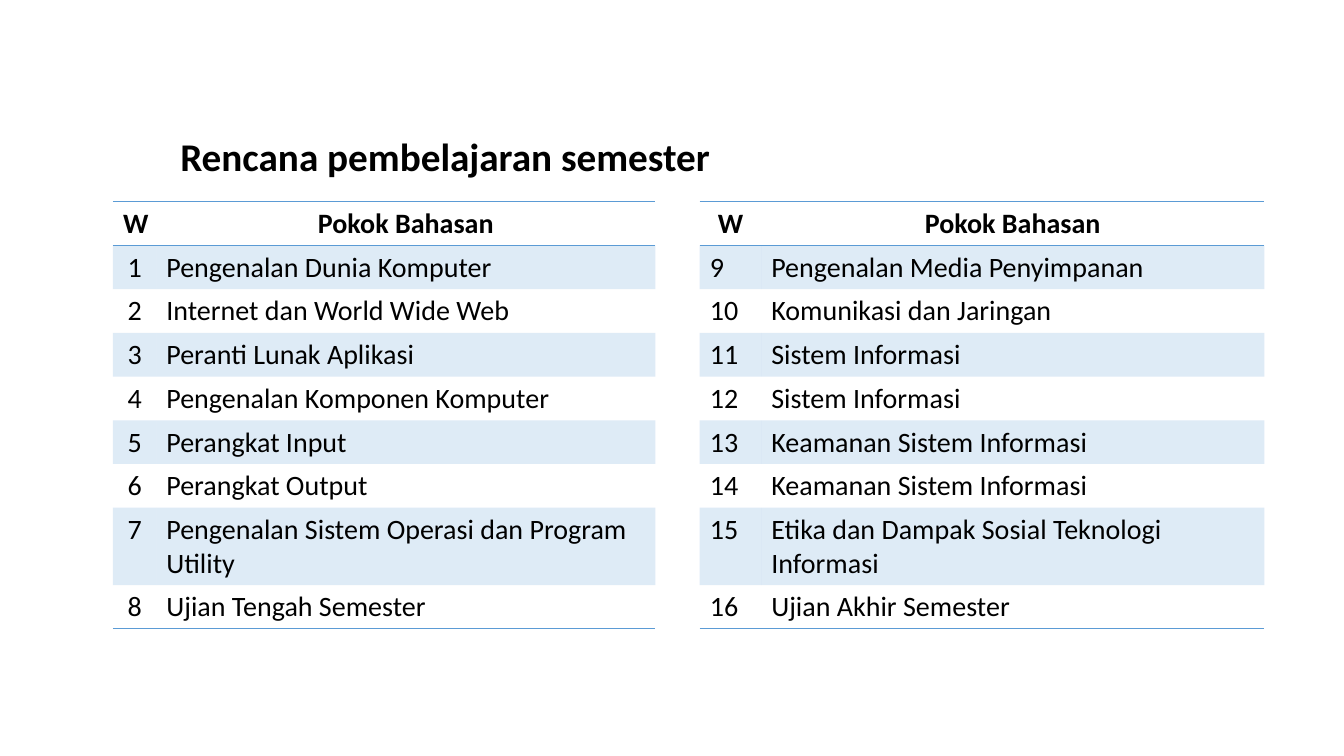
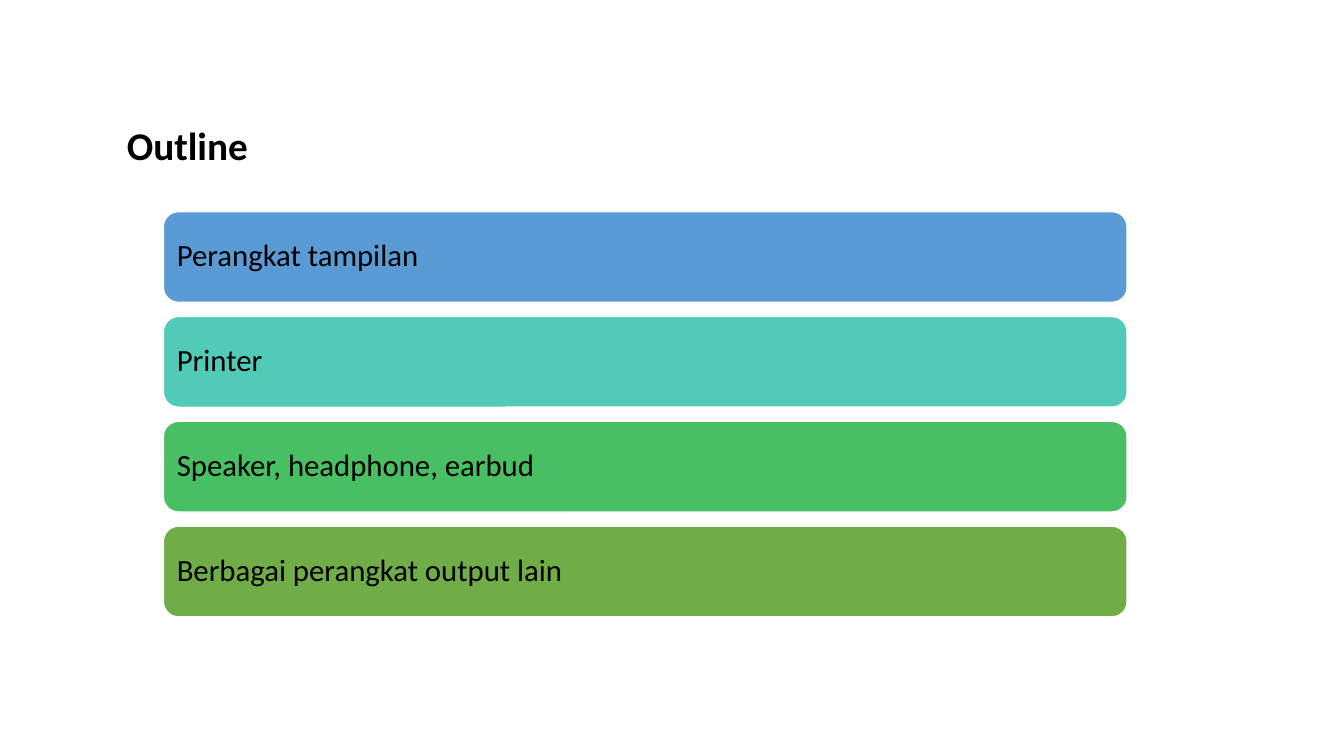
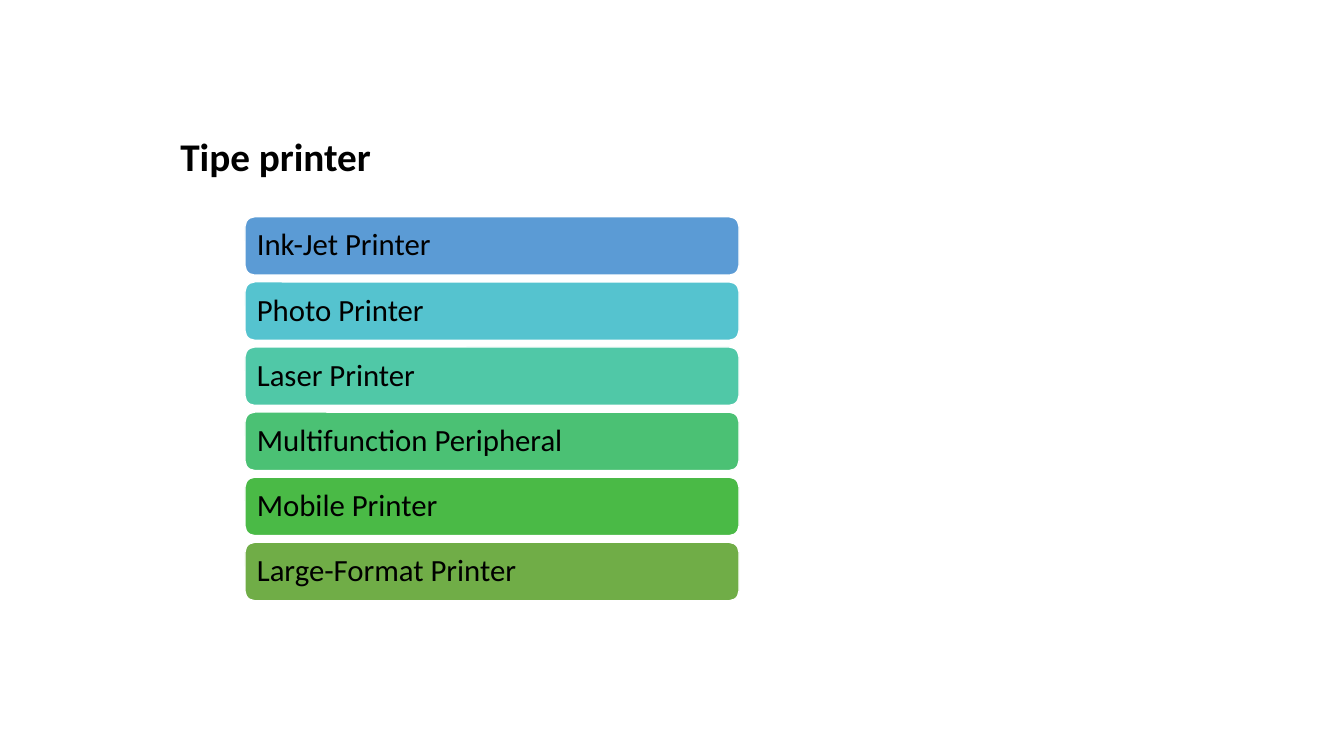
"""Build three course slides: the semester plan, the outline and the printer types."""

from dataclasses import dataclass

from lxml.etree import SubElement
from pptx import Presentation
from pptx.dml.color import RGBColor
from pptx.enum.shapes import MSO_SHAPE
from pptx.enum.text import MSO_ANCHOR, PP_ALIGN
from pptx.oxml.ns import qn
from pptx.slide import Slide
from pptx.table import _Cell
from pptx.text.text import TextFrame
from pptx.util import Emu, Pt

PX = 9144
FONT = "Calibri"
BLACK = "000000"
WHITE = "FFFFFF"
BLUE = "5B9BD5"
GREEN = "70AD47"
BAND_ALPHA = 20000
PLAIN_TABLE_STYLE = "{2D5ABB26-0587-4C30-8999-92F81FD0307C}"
TITLE_SIZE, TABLE_SIZE, BAR_SIZE = 28, 20, 22
TITLE_WIDTH, TITLE_HEIGHT = 1066, 89
ROW_HEIGHT = 41
BAR_INSET = 9


@dataclass(frozen=True)
class Plan:
    """One half of the semester plan."""

    left: int
    top: int
    week_width: int
    topic_width: int
    first_week: int
    week_align: PP_ALIGN
    topics: tuple[str, ...]


@dataclass(frozen=True)
class Bar:
    """One coloured line of a list."""

    text: str
    color: str


@dataclass(frozen=True)
class BarStack:
    """Equal bars spread evenly from top to bottom."""

    left: int
    top: int
    bottom: int
    width: int
    bar_height: int
    bars: tuple[Bar, ...]


PLANS = (
    Plan(112, 200, 43, 495, 1, PP_ALIGN.CENTER, (
        "Pengenalan Dunia Komputer",
        "Internet dan World Wide Web",
        "Peranti Lunak Aplikasi",
        "Pengenalan Komponen Komputer",
        "Perangkat Input",
        "Perangkat Output",
        "Pengenalan Sistem Operasi dan Program Utility",
        "Ujian Tengah Semester",
    )),
    Plan(694, 200, 61, 499, 9, PP_ALIGN.LEFT, (
        "Pengenalan Media Penyimpanan",
        "Komunikasi dan Jaringan",
        "Sistem Informasi",
        "Sistem Informasi",
        "Keamanan Sistem Informasi",
        "Keamanan Sistem Informasi",
        "Etika dan Dampak Sosial Teknologi Informasi",
        "Ujian Akhir Semester",
    )),
)

OUTLINE = BarStack(162, 210, 612, 956, 90, (
    Bar("Perangkat tampilan", BLUE),
    Bar("Printer", "52CAB8"),
    Bar("Speaker, headphone, earbud", "49BF64"),
    Bar("Berbagai perangkat output lain", GREEN),
))

PRINTERS = BarStack(243, 215, 596, 490, 58, (
    Bar("Ink-Jet Printer", BLUE),
    Bar("Photo Printer", "55C3CF"),
    Bar("Laser Printer", "50C8A7"),
    Bar("Multifunction Peripheral", "4BC174"),
    Bar("Mobile Printer", "4ABA46"),
    Bar("Large-Format Printer", GREEN),
))


def px(length: float) -> Emu:
    """Turn px into EMU."""
    return Emu(round(length * PX))


def rgb(color: str) -> RGBColor:
    """Turn a hex string into a colour."""
    return RGBColor.from_string(color)


def write(frame: TextFrame, text: str, size: int, bold: bool = False,
          align: PP_ALIGN = PP_ALIGN.LEFT, line_spacing: float = 1.0) -> None:
    """Set one paragraph of text and format it."""
    frame.text = text
    para = frame.paragraphs[0]
    para.alignment = align
    para.line_spacing = line_spacing
    for span in para.runs:
        span.font.name = FONT
        span.font.size = Pt(size)
        span.font.bold = bold
        span.font.color.rgb = rgb(BLACK)


def add_title(page: Slide, text: str, left: int, top: int) -> None:
    """Add the slide title."""
    box = page.shapes.add_textbox(px(left), px(top), px(TITLE_WIDTH), px(TITLE_HEIGHT))
    frame = box.text_frame
    frame.word_wrap = True
    frame.vertical_anchor = MSO_ANCHOR.MIDDLE
    write(frame, text, TITLE_SIZE, bold=True, line_spacing=0.9)


def add_border(cell: _Cell, side: str) -> None:
    """Draw a thin blue line on one side of a cell."""
    line = SubElement(cell._tc.get_or_add_tcPr(), qn(f"a:{side}"), w=str(Pt(1)))
    fill = SubElement(line, qn("a:solidFill"))
    SubElement(fill, qn("a:srgbClr"), val=BLUE)


def fill_band(cell: _Cell) -> None:
    """Fill a cell with the transparent band colour."""
    cell.fill.solid()
    cell.fill.fore_color.rgb = rgb(BLUE)
    color = cell._tc.tcPr.find(f"{qn('a:solidFill')}/{qn('a:srgbClr')}")
    SubElement(color, qn("a:alpha"), val=str(BAND_ALPHA))


def add_plan(page: Slide, plan: Plan) -> None:
    """Add a table of weeks and topics."""
    weeks = enumerate(plan.topics, plan.first_week)
    rows = [("W", "Pokok Bahasan"), *((str(week), topic) for week, topic in weeks)]
    widths = (plan.week_width, plan.topic_width)
    table = page.shapes.add_table(
        len(rows), len(widths), px(plan.left), px(plan.top),
        px(sum(widths)), px(ROW_HEIGHT * len(rows)),
    ).table
    table._tbl.tblPr.find(qn("a:tableStyleId")).text = PLAIN_TABLE_STYLE
    table.horz_banding = False
    for column, width in zip(table.columns, widths):
        column.width = px(width)
    for row_index, values in enumerate(rows):
        header = row_index == 0
        table.rows[row_index].height = px(ROW_HEIGHT)
        aligns = (PP_ALIGN.CENTER,) * 2 if header else (plan.week_align, PP_ALIGN.LEFT)
        for column_index, (value, align) in enumerate(zip(values, aligns)):
            cell = table.cell(row_index, column_index)
            write(cell.text_frame, value, TABLE_SIZE, bold=header, align=align)
            if header:
                add_border(cell, "lnT")
            if header or row_index == len(rows) - 1:
                add_border(cell, "lnB")
            if row_index % 2:
                fill_band(cell)
            else:
                cell.fill.background()


def add_bars(page: Slide, stack: BarStack) -> None:
    """Add a stack of rounded bars."""
    pitch = (stack.bottom - stack.top - stack.bar_height) / (len(stack.bars) - 1)
    for index, bar in enumerate(stack.bars):
        box = page.shapes.add_shape(
            MSO_SHAPE.ROUNDED_RECTANGLE, px(stack.left), px(stack.top + index * pitch),
            px(stack.width), px(stack.bar_height),
        )
        box.shadow.inherit = False
        box.fill.solid()
        box.fill.fore_color.rgb = rgb(bar.color)
        box.line.color.rgb = rgb(WHITE)
        box.line.width = Pt(1)
        frame = box.text_frame
        frame.word_wrap = True
        frame.vertical_anchor = MSO_ANCHOR.MIDDLE
        frame.margin_left = frame.margin_right = px(BAR_INSET)
        frame.margin_top = frame.margin_bottom = px(BAR_INSET)
        write(frame, bar.text, BAR_SIZE, line_spacing=0.9)


def main() -> None:
    """Build and save the deck."""
    deck = Presentation()
    deck.slide_width, deck.slide_height = px(1333), px(750)
    blank = deck.slide_layouts[6]

    page = deck.slides.add_slide(blank)
    add_title(page, "Rencana pembelajaran semester", 169, 113)
    for plan in PLANS:
        add_plan(page, plan)

    page = deck.slides.add_slide(blank)
    add_title(page, "Outline", 116, 102)
    add_bars(page, OUTLINE)

    page = deck.slides.add_slide(blank)
    add_title(page, "Tipe printer", 169, 113)
    add_bars(page, PRINTERS)

    deck.save("out.pptx")


if __name__ == "__main__":
    main()
